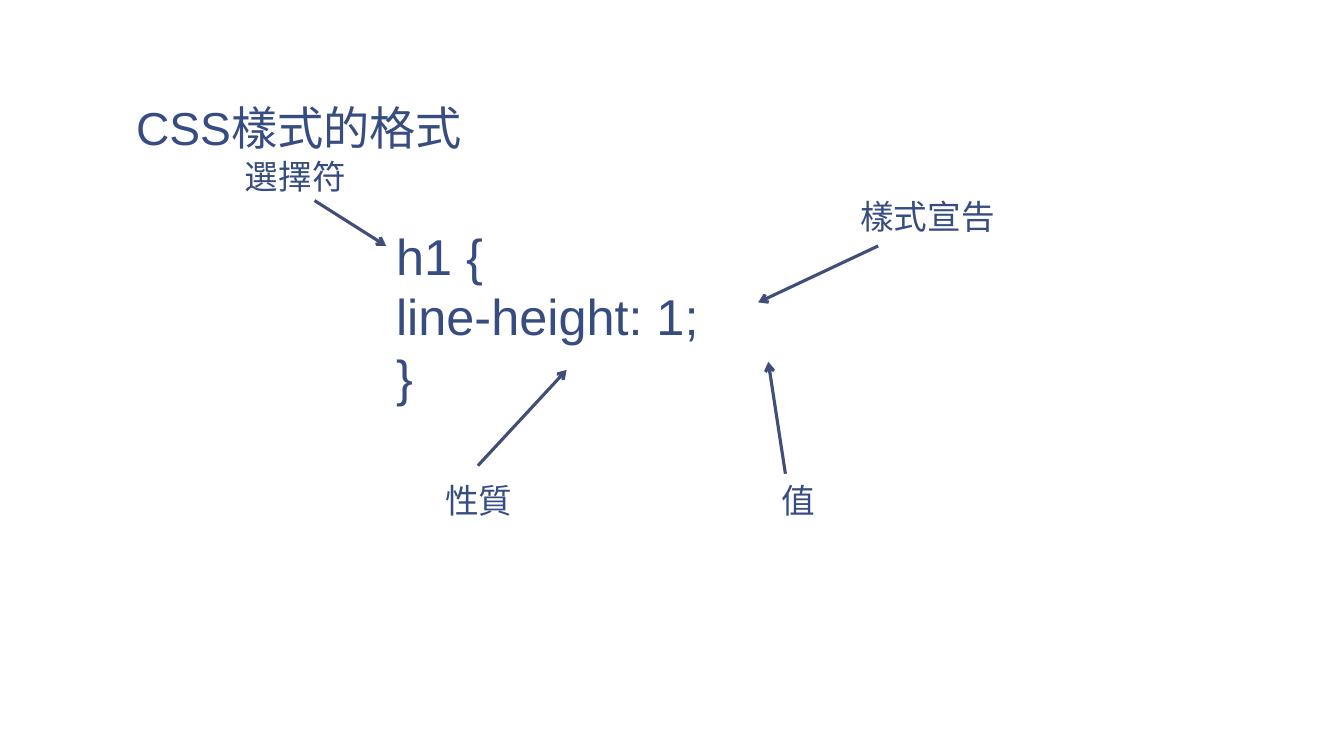
from dataclasses import dataclass
from typing import Any

from lxml import etree
from pptx import Presentation
from pptx import util as u
from pptx.dml.color import RGBColor
from pptx.enum import shapes, text
from pptx.oxml.ns import qn


@dataclass(frozen=True)
class Theme:
    ink: RGBColor = RGBColor(0x37, 0x4C, 0x81)
    arrow: RGBColor = RGBColor(0x41, 0x4E, 0x77)
    main_font: str = "Arial"
    label_font: str = "League Spartan"
    title_size: int = 33
    code_size: int = 36
    label_size: int = 24
    arrow_width: float = 2.25


@dataclass(frozen=True)
class Callout:
    label: str
    left: float
    top: float
    width: float
    adjustments: tuple[float, ...]
    start: tuple[float, float]
    end: tuple[float, float]


THEME = Theme()
CALLOUT_HEIGHT = 0.79
CALLOUTS = [
    Callout("選擇符", 2.18, 1.35, 1.5, (1.14, 0.83, 1.69, 1.15), (3.12, 1.99), (3.83, 2.44)),
    Callout("樣式宣告", 8.27, 1.75, 1.86, (1.1, 0.19, 2.02, -0.15), (8.71, 2.44), (7.52, 3)),
    Callout("性質", 4, 4.57, 1.5, (-0.1, 0.51, -1.36, 0.9), (4.74, 4.62), (5.62, 3.67)),
    Callout("值", 7.17, 4.57, 1.5, (-0.1, 0.51, -1.36, 0.27), (7.79, 4.7), (7.62, 3.59)),
]
CODE = ["h1\u00a0{", "line-height:\u00a01;", "}"]


def apply(target: Any, formats: dict[str, Any]) -> None:
    for name, value in formats.items():
        setattr(target, name, value)


def place(sp: Any, left: float, top: float, width: float, height: float) -> None:
    lengths = zip(("left", "top", "width", "height"), (left, top, width, height))
    apply(sp, {name: u.Inches(value) for name, value in lengths})


def write(tf: Any, lines: list[str], font: str, size: int, formats: dict[str, Any]) -> None:
    for i, line in enumerate(lines):
        p = tf.paragraphs[0] if i == 0 else tf.add_paragraph()
        apply(p, formats)
        r = p.add_run()
        r.text = line
        apply(r.font, {"name": font, "size": u.Pt(size), "bold": False})
        r.font.color.rgb = THEME.ink


def draw_title(s: Any) -> None:
    sp = s.shapes.title
    place(sp, 1.22, 0.08, 11.11, 1.53)
    tf = sp.text_frame
    apply(tf, {
        "vertical_anchor": text.MSO_ANCHOR.BOTTOM,
        "auto_size": text.MSO_AUTO_SIZE.NONE,
        "margin_left": u.Inches(0.13),
        "margin_right": u.Inches(0.13),
        "margin_top": u.Inches(0.07),
        "margin_bottom": u.Inches(0.07),
    })
    write(tf, ["CSS樣式的格式"], THEME.main_font, THEME.title_size,
          {"alignment": text.PP_ALIGN.LEFT, "line_spacing": 0.85})


def draw_code(s: Any) -> None:
    box = [u.Inches(n) for n in (3.83, 2.18, 3.23, 2.73)]
    tf = s.shapes.add_textbox(*box).text_frame
    apply(tf, {"word_wrap": False, "auto_size": text.MSO_AUTO_SIZE.SHAPE_TO_FIT_TEXT})
    write(tf, CODE, THEME.main_font, THEME.code_size, {"alignment": text.PP_ALIGN.LEFT})


def draw_label(s: Any, callout: Callout) -> None:
    box = [u.Inches(n) for n in (callout.left, callout.top, callout.width, CALLOUT_HEIGHT)]
    sp = s.shapes.add_shape(shapes.MSO_SHAPE.LINE_CALLOUT_1, *box)
    sp.shadow.inherit = False
    sp.fill.background()
    sp.line.fill.background()
    for i, value in enumerate(callout.adjustments):
        sp.adjustments[i] = value
    tf = sp.text_frame
    tf.vertical_anchor = text.MSO_ANCHOR.MIDDLE
    write(tf, [callout.label], THEME.label_font, THEME.label_size,
          {"alignment": text.PP_ALIGN.CENTER})


def draw_arrow(s: Any, callout: Callout) -> None:
    ends = [u.Inches(n) for n in callout.start + callout.end]
    cxn = s.shapes.add_connector(shapes.MSO_CONNECTOR.STRAIGHT, *ends)
    cxn.line.color.rgb = THEME.arrow
    cxn.line.width = u.Pt(THEME.arrow_width)
    etree.SubElement(cxn.line._get_or_add_ln(), qn("a:tailEnd"), type="arrow")
    etree.SubElement(cxn._element.spPr, qn("a:effectLst"))


def main() -> None:
    prs = Presentation()
    prs.slide_width, prs.slide_height = u.Inches(13.33), u.Inches(7.5)
    s = prs.slides.add_slide(prs.slide_layouts[5])
    draw_title(s)
    draw_code(s)
    for draw in (draw_label, draw_arrow):
        for callout in CALLOUTS:
            draw(s, callout)
    prs.save("out.pptx")


if __name__ == "__main__":
    main()
